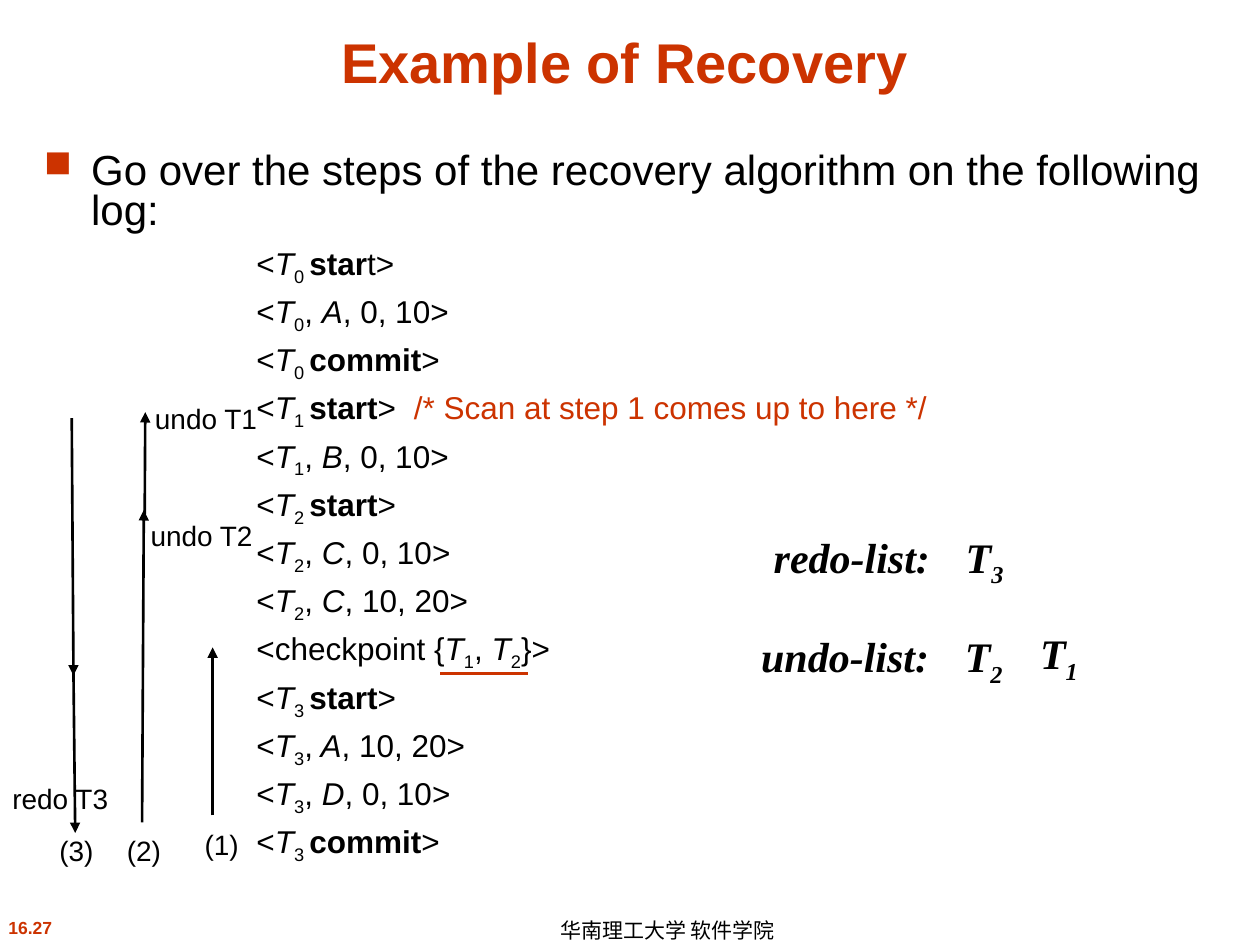
import pptx
import pptx.util
import pptx.dml.color
import pptx.enum.shapes
import pptx.enum.text
import pptx.oxml
from lxml import etree

Pt = pptx.util.Pt
RGB = pptx.dml.color.RGBColor
ALIGN = pptx.enum.text.PP_ALIGN
ANCHOR = pptx.enum.text.MSO_ANCHOR

THEME = {
    "ink": RGB(0x00, 0x00, 0x00), "accent": RGB(0xCC, 0x33, 0x00),
    "sans": "Arial", "serif": "Times New Roman",
    "title": 32, "bullet": 24, "list": 24, "log": 18, "label": 16,
    "footer": 12, "number": 10,
}

TITLE = "Example of Recovery"
INTRO = "Go over the steps of the recovery algorithm on the following log:"
# Each piece starts with its style: n normal, i italic, b bold, s subscript, a accent
LOG = [
    "n<|iT|s0 |bstar|nt>",
    "n<|iT|s0|n, |iA|n, 0, 10>",
    "n<|iT|s0 |bcommit|n>",
    "n<|iT|s1 |bstart|n>\t|a/* Scan at step 1 comes up to here */",
    "n<|iT|s1|n, |iB|n, 0, 10>",
    "n<|iT|s2 |bstart|n>",
    "n<|iT|s2|n, |iC|n, 0, 10>",
    "n<|iT|s2|n, |iC|n, 10, 20>",
    "n<checkpoint {|iT|s1|n, |iT|s2|n}>",
    "n<|iT|s3 |bstart|n>",
    "n<|iT|s3|n,|i A|n, 10, 20>",
    "n<|iT|s3|n, |iD|n, 0, 10>",
    "n<|iT|s3 |bcommit|n>",
]
LISTS = [
    ("nredo-list:", 422.5, 300, 116, 65), ("nT|s3", 527, 300, 53.5, 40),
    ("nundo-list:", 415.5, 357, 122.5, 65), ("nT|s2", 526.5, 357, 53.5, 40),
    ("nT|s1", 569.5, 355, 53.5, 40),
]
STEPS = [("n(1)", 103, 469.5), ("n(2)", 58.5, 472.5), ("n(3)", 20, 472.5)]
ACTIONS = [("nundo T2", 79, 292.5), ("nundo T1", 81.5, 226), ("nredo T3", 0, 443)]
ARROWS = [
    (121.5, 466, 121.5, 370), (81.2, 470, 82.2, 291.5), (82.7, 294, 83, 235.5),
    (41, 239, 42, 386), (42, 384.5, 43, 476),
]
UNDERLINE = (251.5, 385, 301.5, 385)


def add_runs(p, markup, size, font="sans", color="ink", bold=False, italic=False):
    for piece in markup.split("|"):
        style, r = piece[0], p.add_run()
        r.text = piece[1:]
        r.font.name, r.font.size = THEME[font], Pt(THEME[size])
        r.font.bold, r.font.italic = bold or style == "b", italic or style == "i"
        r.font.color.rgb = THEME["accent" if style == "a" else color]
        if style == "s":
            r.font._element.set("baseline", "-25000")


def add_box(s, x, y, w, h, anchor=ANCHOR.TOP, wrap=True):
    tf = s.shapes.add_textbox(Pt(x), Pt(y), Pt(w), Pt(h)).text_frame
    tf.word_wrap, tf.vertical_anchor = wrap, anchor
    return tf


def add_label(s, markup, x, y, w, h, size, align=ALIGN.LEFT, before=0,
              anchor=ANCHOR.TOP, wrap=True, **style):
    p = add_box(s, x, y, w, h, anchor, wrap).paragraphs[0]
    p.alignment, p.space_before = align, Pt(before)
    add_runs(p, markup, size, **style)
    return p


def add_line(s, ends, color, width, arrow=False):
    line = s.shapes.add_connector(pptx.enum.shapes.MSO_CONNECTOR.STRAIGHT,
                                  *[Pt(v) for v in ends])
    line.line.color.rgb, line.line.width = THEME[color], Pt(width)
    if arrow:
        etree.SubElement(line.line._ln, pptx.oxml.ns.qn("a:tailEnd"), type="triangle")
    etree.SubElement(line._element.spPr, pptx.oxml.ns.qn("a:effectLst"))


def add_ppr(p, tag, **attrs):
    return etree.SubElement(p._p.get_or_add_pPr(), pptx.oxml.ns.qn(tag), **attrs)


def format_paragraph(p, margin, indent, before):
    p.line_spacing, p.space_before = 0.8, Pt(before)
    ppr = p._p.get_or_add_pPr()
    ppr.set("marL", str(Pt(margin)))
    ppr.set("indent", str(Pt(indent)))


def add_log(s):
    tf = add_box(s, 18, 84, 678, 414)
    p = tf.paragraphs[0]
    format_paragraph(p, 27, -27, 10.5)
    etree.SubElement(add_ppr(p, "a:buClr"), pptx.oxml.ns.qn("a:srgbClr"),
                     val=str(THEME["accent"]))
    add_ppr(p, "a:buSzPct", val="90000")
    add_ppr(p, "a:buChar", char="■")
    add_runs(p, "n" + INTRO, "bullet")
    for entry in LOG:
        p = tf.add_paragraph()
        format_paragraph(p, 139.5, -18, 7.9)
        add_ppr(p, "a:buNone")
        if "\t" in entry:
            etree.SubElement(add_ppr(p, "a:tabLst"), pptx.oxml.ns.qn("a:tab"),
                             pos=str(Pt(248)), algn="l")
        add_runs(p, entry, "log")


def main():
    prs = pptx.Presentation()
    prs.slide_width, prs.slide_height = Pt(720), Pt(540)
    s = prs.slides.add_slide(prs.slide_layouts[6])
    add_label(s, "n16.27", -21, 520.5, 76.5, 19.5, "number", ALIGN.CENTER, 6.2,
              wrap=False, color="accent", bold=True)
    footer = add_label(s, "n华南理工大学 软件学院", 288.5, 522, 161.5, 18, "footer",
                       ALIGN.RIGHT, anchor=ANCHOR.MIDDLE, wrap=False)
    footer.line_spacing = 1.1
    add_label(s, "n" + TITLE, 18, 9.5, 678, 48, "title", ALIGN.CENTER,
              anchor=ANCHOR.BOTTOM, color="accent", bold=True)
    add_log(s)
    for item in LISTS:
        add_label(s, *item, "list", ALIGN.RIGHT, 15, font="serif", bold=True, italic=True)
    for ends in ARROWS:
        add_line(s, ends, "ink", 1.5, arrow=True)
    add_line(s, UNDERLINE, "accent", 2)
    for item in STEPS:
        add_label(s, *item, 40.5, 26.5, "label", ALIGN.RIGHT, 10)
    for item in ACTIONS:
        add_label(s, *item, 77, 26.5, "label")
    prs.save("out.pptx")


if __name__ == "__main__":
    main()
